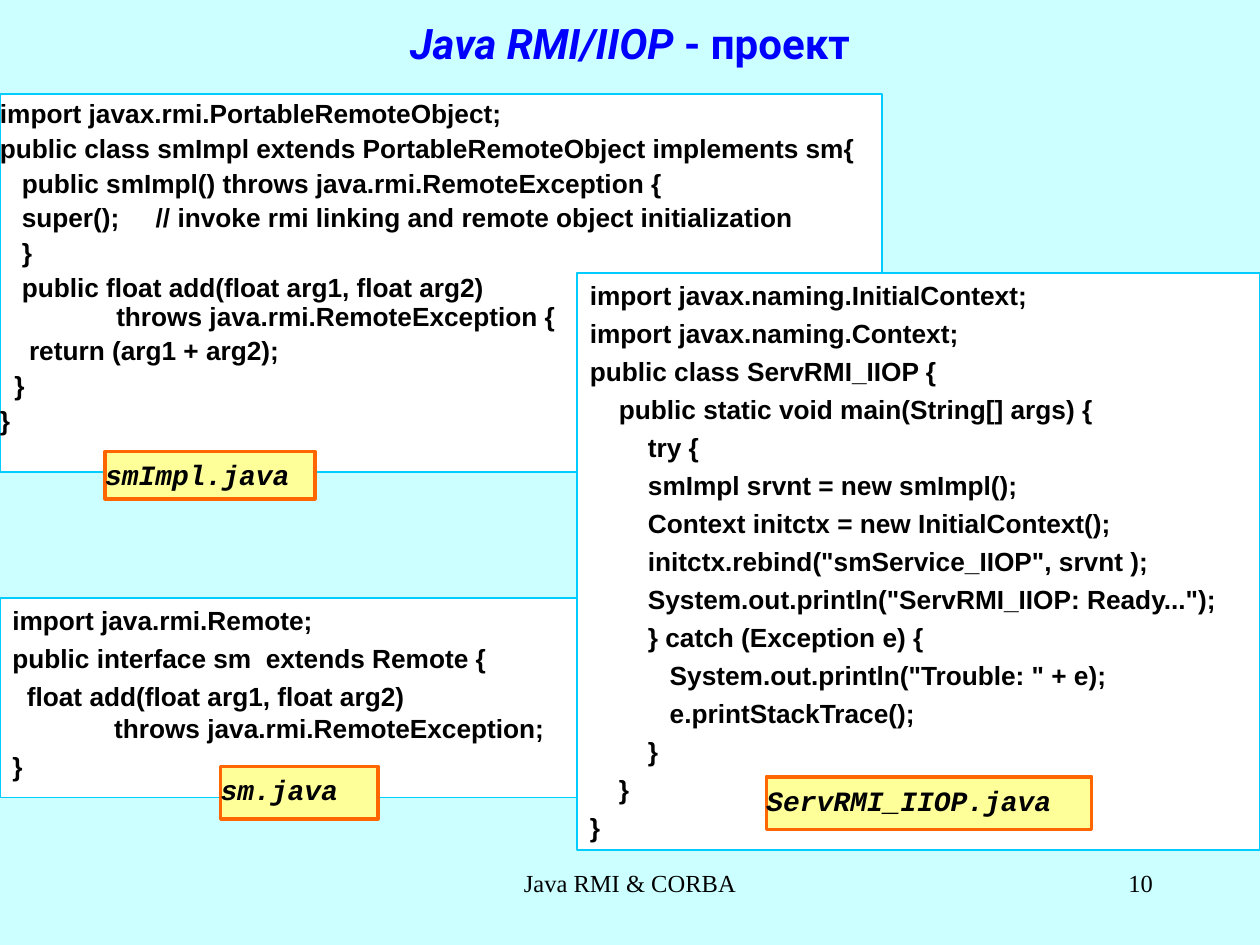
from copy import deepcopy

from pptx import Presentation
from pptx.dml.color import RGBColor
from pptx.enum.shapes import MSO_SHAPE
from pptx.enum.text import MSO_ANCHOR, PP_ALIGN
from pptx.oxml.ns import qn
from pptx.util import Cm, Pt

AQUA = RGBColor(0xCC, 0xFF, 0xFF)
WHITE = RGBColor(0xFF, 0xFF, 0xFF)
SKY = RGBColor(0x00, 0xCC, 0xFF)
YELLOW = RGBColor(0xFF, 0xFF, 0x99)
ORANGE = RGBColor(0xFF, 0x66, 0x00)
BLUE = RGBColor(0x00, 0x00, 0xFF)
BLACK = RGBColor(0x00, 0x00, 0x00)

INTERFACE_CODE = """\
import java.rmi.Remote;
public interface sm  extends Remote {
  float add(float arg1, float arg2)\v              throws java.rmi.RemoteException;
}"""

IMPLEMENTATION_CODE = """\
import javax.rmi.PortableRemoteObject;
public class smImpl extends PortableRemoteObject implements sm{
   public smImpl() throws java.rmi.RemoteException {
   super();     // invoke rmi linking and remote object initialization
   }
   public float add(float arg1, float arg2)\v                throws java.rmi.RemoteException {
    return (arg1 + arg2);
  }
}"""

SERVER_CODE = """\
import javax.naming.InitialContext;
import javax.naming.Context;
public class ServRMI_IIOP {
    public static void main(String[] args) {
        try {
        smImpl srvnt = new smImpl();
        Context initctx = new InitialContext();
        initctx.rebind("smService_IIOP", srvnt );
        System.out.println("ServRMI_IIOP: Ready...");
        } catch (Exception e) {
           System.out.println("Trouble: " + e);
           e.printStackTrace();
        }
    }
}"""


def apply(target, values):
    for name, value in values.items():
        setattr(target, name, value)


class SlideWriter:
    code_font = {"name": "Arial", "size": Pt(15), "bold": True}
    label_font = {"name": "Courier New", "size": Pt(16), "bold": True, "italic": True}
    title_font = {"name": "Roboto", "size": Pt(24), "bold": True}
    footer_font = {"name": "Times New Roman", "size": Pt(14)}

    def __init__(self, slide):
        self.slide = slide
        slide.background.fill.solid()
        slide.background.fill.fore_color.rgb = AQUA

    def frame(self, shape, side_margin=0.25, anchor=MSO_ANCHOR.TOP):
        apply(shape.text_frame, {
            "word_wrap": True,
            "vertical_anchor": anchor,
            "margin_left": Cm(side_margin),
            "margin_right": Cm(side_margin),
            "margin_top": Cm(0.13),
            "margin_bottom": Cm(0.13),
        })
        return shape.text_frame

    def style_runs(self, paragraph, font, color=BLACK):
        for run in paragraph.runs:
            apply(run.font, font)
            run.font.color.rgb = color
        for line_break in paragraph._p.findall(qn("a:br")):
            line_break.append(deepcopy(paragraph.runs[0]._r.rPr))

    def rectangle(self, box, fill, line, width):
        shape = self.slide.shapes.add_shape(MSO_SHAPE.RECTANGLE, *map(Cm, box))
        shape.shadow.inherit = False
        shape.fill.solid()
        shape.fill.fore_color.rgb = fill
        shape.line.color.rgb = line
        shape.line.width = Pt(width)
        return shape

    def code(self, box, source, side_margin=0.25, line_spacing=1.0):
        frame = self.frame(self.rectangle(box, WHITE, SKY, 1), side_margin)
        for index, line in enumerate(source.split("\n")):
            paragraph = frame.add_paragraph() if index else frame.paragraphs[0]
            paragraph.text = line
            apply(paragraph, {
                "alignment": PP_ALIGN.LEFT,
                "line_spacing": line_spacing,
                "space_before": Pt(3.7 if index else 0),
            })
            self.style_runs(paragraph, self.code_font)

    def label(self, box, text):
        frame = self.frame(self.rectangle(box, YELLOW, ORANGE, 2), 0)
        paragraph = frame.paragraphs[0]
        paragraph.text = text
        paragraph.alignment = PP_ALIGN.LEFT
        self.style_runs(paragraph, self.label_font)

    def title(self, box, italic_text, plain_text):
        shape = self.slide.shapes.add_textbox(*map(Cm, box))
        paragraph = self.frame(shape, anchor=MSO_ANCHOR.MIDDLE).paragraphs[0]
        apply(paragraph, {"alignment": PP_ALIGN.CENTER, "line_spacing": 0.8})
        for text, italic in ((italic_text, True), (plain_text, False)):
            run = paragraph.add_run()
            run.text = text
            run.font.italic = italic
        self.style_runs(paragraph, self.title_font, BLUE)

    def footer(self, box, text, alignment):
        shape = self.slide.shapes.add_textbox(*map(Cm, box))
        paragraph = self.frame(shape).paragraphs[0]
        paragraph.text = text
        paragraph.alignment = alignment
        self.style_runs(paragraph, self.footer_font)


def main():
    presentation = Presentation()
    apply(presentation, {"slide_width": Cm(25.4), "slide_height": Cm(19.05)})
    writer = SlideWriter(presentation.slides.add_slide(presentation.slide_layouts[6]))

    writer.code((0, 12.06, 11.85, 4.02), INTERFACE_CODE)
    writer.code((0, 1.9, 17.78, 7.62), IMPLEMENTATION_CODE, side_margin=0, line_spacing=0.9)
    writer.label((2.12, 9.1, 4.23, 0.96), "smImpl.java")
    writer.label((4.45, 15.45, 3.17, 1.06), "sm.java")
    writer.title((0, 0, 25.4, 1.9), "Java RMI/IIOP ", "- проект")
    writer.code((11.64, 5.5, 13.76, 11.64), SERVER_CODE)
    writer.label((15.45, 15.66, 6.56, 1.06), "ServRMI_IIOP.java")
    writer.footer((8.68, 17.36, 8.04, 1.27), "Java RMI & CORBA", PP_ALIGN.CENTER)
    writer.footer((18.2, 17.36, 5.29, 1.27), "10", PP_ALIGN.RIGHT)

    presentation.save("out.pptx")


if __name__ == "__main__":
    main()
